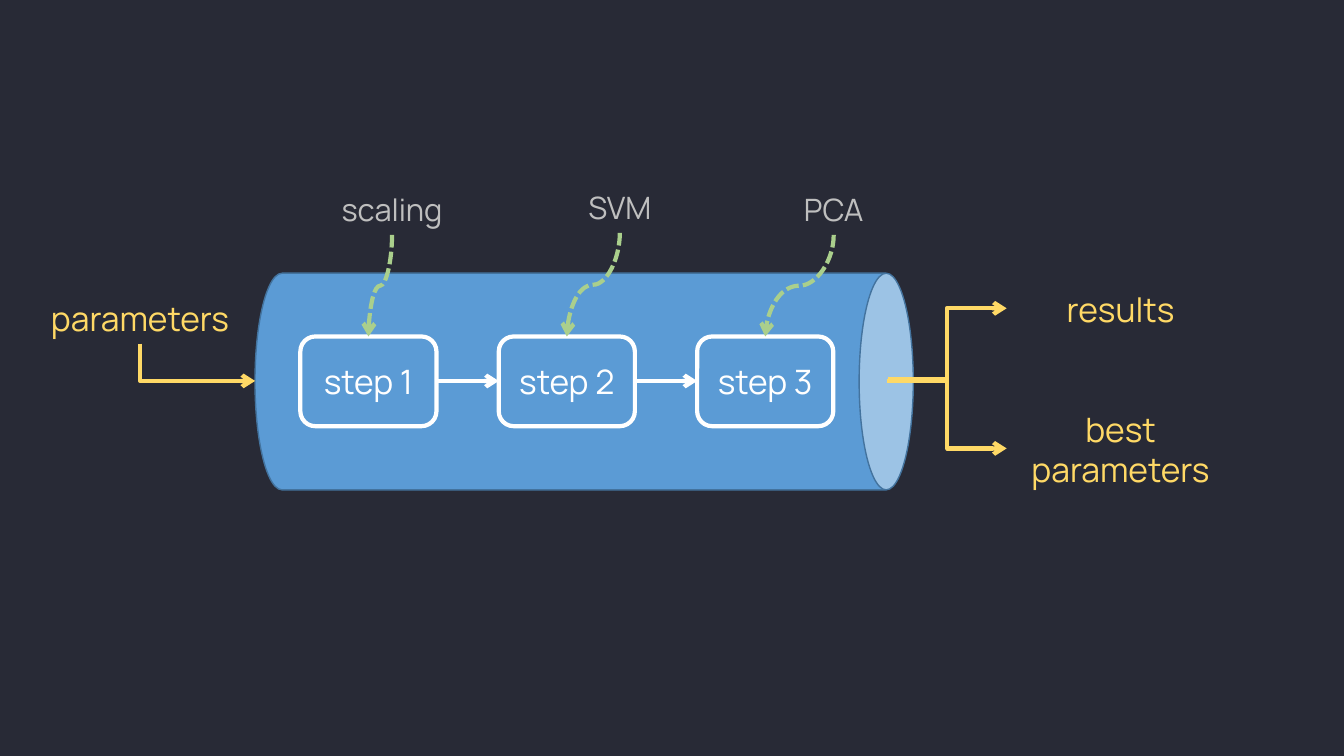
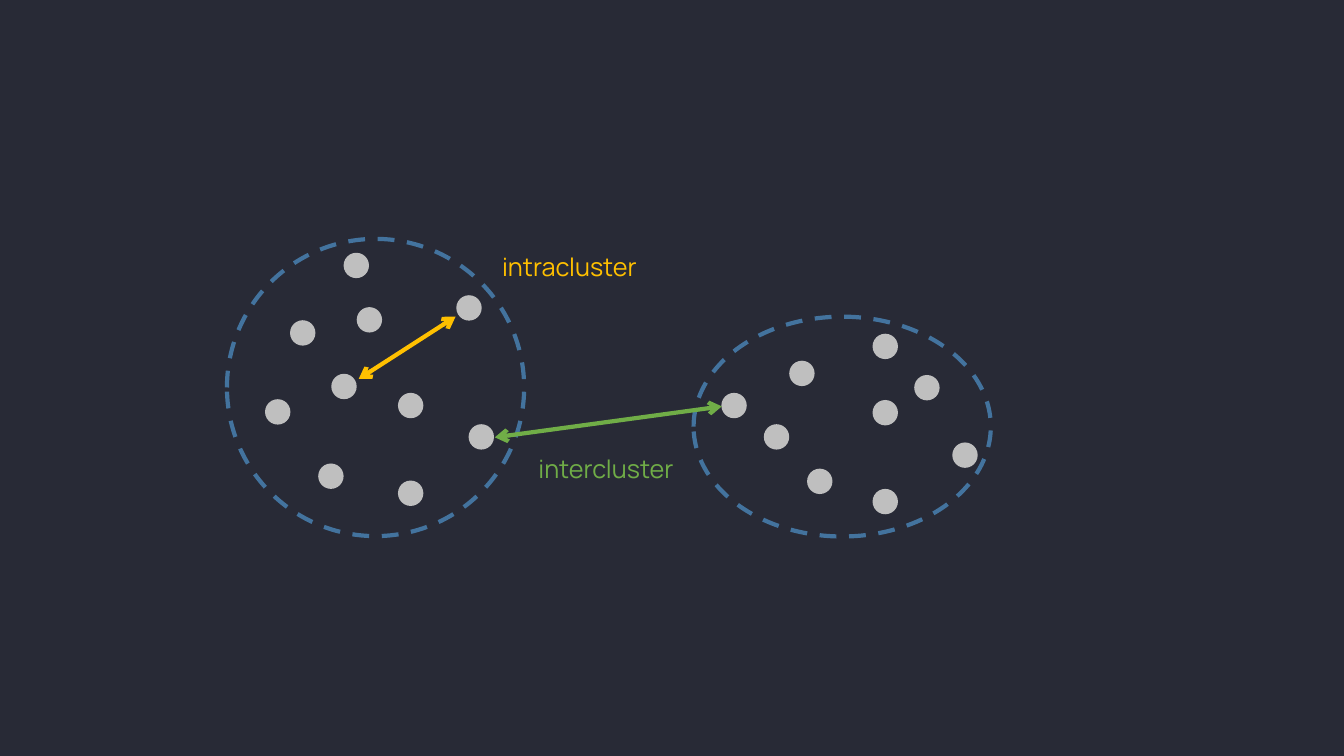
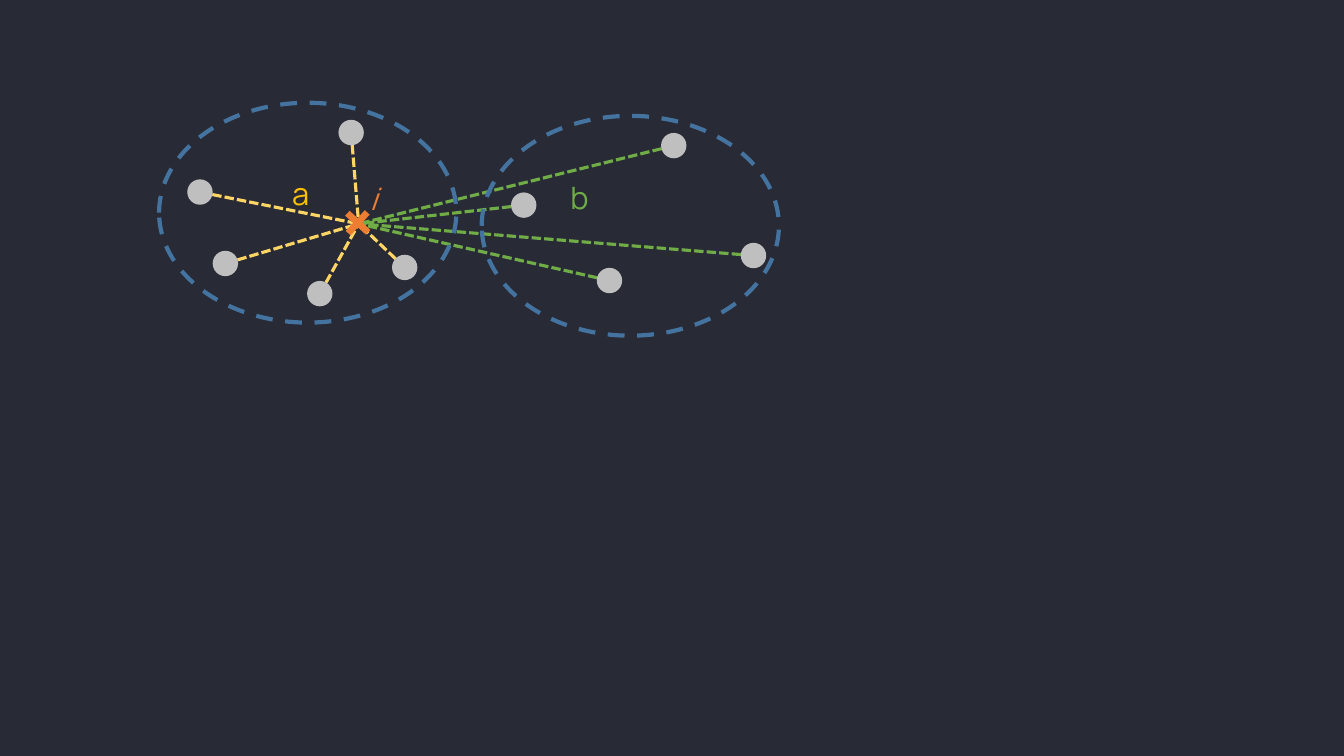
"""Build three dark slides: a model pipeline, cluster distances and a silhouette."""

from lxml import etree
from pptx import Presentation
from pptx.dml.color import RGBColor
from pptx.enum.dml import MSO_LINE
from pptx.enum.shapes import MSO_CONNECTOR, MSO_SHAPE
from pptx.enum.text import MSO_ANCHOR, PP_ALIGN
from pptx.oxml.ns import qn
from pptx.util import Cm, Pt

CAN = MSO_SHAPE.CAN
STEP_BOX = MSO_SHAPE.FLOWCHART_ALTERNATE_PROCESS
ELLIPSE = MSO_SHAPE.OVAL
CROSS = MSO_SHAPE.CROSS
STRAIGHT = MSO_CONNECTOR.STRAIGHT
ELBOW = MSO_CONNECTOR.ELBOW
CURVE = MSO_CONNECTOR.CURVE
DASH = MSO_LINE.DASH
SHORT_DASH = MSO_LINE.SQUARE_DOT
CENTER = PP_ALIGN.CENTER
MIDDLE = MSO_ANCHOR.MIDDLE

NIGHT = RGBColor(0x28, 0x2A, 0x36)
WHITE = RGBColor(0xFF, 0xFF, 0xFF)
GRAY = RGBColor(0xBF, 0xBF, 0xBF)
BLUE = RGBColor(0x5B, 0x9B, 0xD5)
DARK_BLUE = RGBColor(0x43, 0x73, 0x9E)
YELLOW = RGBColor(0xFF, 0xD9, 0x66)
SPOKE_YELLOW = RGBColor(0xFF, 0xD5, 0x64)
AMBER = RGBColor(0xFF, 0xC0, 0x00)
GREEN = RGBColor(0x70, 0xAD, 0x47)
LIGHT_GREEN = RGBColor(0xAA, 0xCF, 0x8C)
ORANGE = RGBColor(0xED, 0x7D, 0x31)

FONT = "Manrope"
DOT_SIZE = 0.64
CLUSTER_WIDTH = 7.49
CLUSTER_HEIGHT = 5.54


def write_text(frame, text, size=24, color=WHITE, italic=None):
    """Write one centred paragraph into a text frame."""
    frame.word_wrap = True
    frame.vertical_anchor = MIDDLE
    para = frame.paragraphs[0]
    para.alignment = CENTER
    span = para.add_run()
    span.text = text
    span.font.name = FONT
    span.font.size = Pt(size)
    span.font.color.rgb = color
    span.font.italic = italic


class Painter:
    """Hold the deck style and draw on the current page."""

    def __init__(self):
        """Start a widescreen deck."""
        self.deck = Presentation()
        self.deck.slide_width = Cm(33.87)
        self.deck.slide_height = Cm(19.05)
        self.page = None

    def new_page(self):
        """Add a blank dark page and make it current."""
        self.page = self.deck.slides.add_slide(self.deck.slide_layouts[6])
        background = self.page.background.fill
        background.solid()
        background.fore_color.rgb = NIGHT

    def shape(self, kind, left, top, width, height, fill=None, line=None,
              weight=3, dash=None):
        """Draw a preset shape with an optional fill and outline."""
        shape = self.page.shapes.add_shape(
            kind, Cm(left), Cm(top), Cm(width), Cm(height))
        shape.shadow.inherit = False
        if fill is None:
            shape.fill.background()
        else:
            shape.fill.solid()
            shape.fill.fore_color.rgb = fill
        if line is None:
            shape.line.fill.background()
        else:
            shape.line.color.rgb = line
            shape.line.width = Pt(weight)
            shape.line.dash_style = dash
        return shape

    def label(self, text, left, top, width=5.74, height=1.3, **style):
        """Place a centred text box."""
        box = self.page.shapes.add_textbox(
            Cm(left), Cm(top), Cm(width), Cm(height))
        write_text(box.text_frame, text, **style)

    def line(self, start, end, color, kind=STRAIGHT, weight=3, dash=None,
             ends=("tailEnd",)):
        """Draw a connector with open arrowheads at the named ends."""
        connector = self.page.shapes.add_connector(
            kind, *(Cm(value) for value in (*start, *end)))
        connector.line.color.rgb = color
        connector.line.width = Pt(weight)
        connector.line.dash_style = dash
        outline = connector.line._get_or_add_ln()
        for name in ends:
            etree.SubElement(outline, qn("a:" + name), type="arrow")
        etree.SubElement(connector.element.spPr, qn("a:effectLst"))
        return connector

    def drop(self, start, end, color, kind, **style):
        """Draw a connector that leaves its start downwards."""
        middle_x, middle_y = ((a + b) / 2 for a, b in zip(start, end))
        half_width = (end[1] - start[1]) / 2
        half_height = (start[0] - end[0]) / 2
        connector = self.line(
            (middle_x - half_width, middle_y - half_height),
            (middle_x + half_width, middle_y + half_height),
            color, kind, **style)
        connector.element.spPr.find(qn("a:xfrm")).set("rot", "5400000")
        return connector

    def cluster(self, left, top, height=CLUSTER_HEIGHT):
        """Outline a cluster with a dashed ellipse."""
        self.shape(ELLIPSE, left, top, CLUSTER_WIDTH, height,
                   line=DARK_BLUE, dash=DASH)

    def dots(self, centers):
        """Draw a gray data point at each centre."""
        for x, y in centers:
            self.shape(ELLIPSE, x - DOT_SIZE / 2, y - DOT_SIZE / 2,
                       DOT_SIZE, DOT_SIZE, fill=GRAY)


def draw_pipeline(painter):
    """Show parameters flowing through three steps to the results."""
    step_left, step_top, step_pitch = 7.57, 8.48, 5
    step_width, step_height = 3.43, 2.26
    flow_y = 9.6
    painter.new_page()
    pipe = painter.shape(CAN, 11.99, 1.32, 5.46, 16.59, fill=BLUE,
                         line=DARK_BLUE, weight=1)
    pipe.adjustments[0] = 0.25
    pipe.rotation = 90

    methods = (("scaling", 7.01, 4.62), ("SVM", 12.75, 4.57),
               ("PCA", 18.14, 4.62))
    for index, (method, left, top) in enumerate(methods):
        x = step_left + index * step_pitch
        step = painter.shape(STEP_BOX, x, step_top, step_width, step_height,
                             fill=BLUE, line=WHITE)
        write_text(step.text_frame, f"step {index + 1}")
        if index:
            painter.line((x - step_pitch + step_width, flow_y), (x, flow_y),
                         WHITE)
        painter.label(method, left, top, size=22, color=GRAY)
        painter.drop((left + 2.87, top + 1.3), (x + step_width / 2, step_top),
                     LIGHT_GREEN, CURVE, dash=SHORT_DASH)

    for text, left, top in (("parameters", 0.66, 7.37),
                            ("results", 25.37, 7.14),
                            ("best parameters", 25.37, 10.67)):
        painter.label(text, left, top, color=YELLOW)
    inlet = painter.drop((3.53, 8.66), (6.43, flow_y), YELLOW, ELBOW)
    inlet.element.spPr.find(qn("a:prstGeom")).set("prst", "bentConnector2")
    painter.line((22.35, flow_y), (25.37, 7.77), YELLOW, ELBOW)
    painter.line((22.38, 9.55), (25.37, 11.3), YELLOW, ELBOW)


def draw_distances(painter):
    """Compare the distance inside a cluster with that between clusters."""
    left_points = (
        (7.63, 8.39), (11.82, 7.76), (7, 10.38), (8.67, 9.74), (8.34, 12),
        (12.13, 11.01), (8.98, 6.69), (10.35, 12.43), (10.35, 10.22),
        (9.31, 8.06))
    right_points = (
        (18.5, 10.22), (20.21, 9.41), (19.57, 11.01), (20.66, 12.13),
        (22.31, 10.4), (24.32, 11.47), (23.36, 9.77), (22.31, 8.73),
        (22.31, 12.64))
    painter.new_page()
    painter.cluster(5.72, 6.02, height=CLUSTER_WIDTH)
    painter.dots(left_points)
    painter.cluster(17.48, 7.98)
    painter.dots(right_points)
    both_ends = ("headEnd", "tailEnd")
    painter.line((12.47, 11.02), (18.19, 10.24), GREEN, ends=both_ends)
    painter.line((9.04, 9.55), (11.48, 7.98), AMBER, ends=both_ends)
    painter.label("intracluster", 12.14, 6.15, 4.42, 1.12, size=18,
                  color=AMBER)
    painter.label("intercluster", 13.06, 11.25, 4.42, 1.12, size=18,
                  color=GREEN)


def draw_silhouette(painter):
    """Link one sample to its own cluster and to the nearest other one."""
    sample = (9.04, 5.64)
    own_points = ((5.04, 4.84), (8.85, 3.34), (10.2, 6.74), (8.06, 7.4),
                  (5.68, 6.64))
    other_points = ((16.98, 3.67), (13.2, 5.17), (15.36, 7.07), (18.99, 6.44))
    painter.new_page()
    for points, color in ((own_points, SPOKE_YELLOW), (other_points, GREEN)):
        for point in points:
            painter.line(point, sample, color, weight=2.25, dash=SHORT_DASH,
                         ends=())
    painter.cluster(4.01, 2.59)
    painter.dots(own_points)
    painter.cluster(12.14, 2.92)
    painter.dots(other_points)
    marker = painter.shape(CROSS, 8.66, 5.26, 0.71, 0.71, fill=ORANGE)
    marker.adjustments[0] = 0.383
    marker.rotation = 42.5
    for text, left, top, color, italic in (("a", 6.76, 4.22, AMBER, None),
                                           ("b", 13.79, 4.32, GREEN, None),
                                           ("i", 8.59, 4.34, ORANGE, True)):
        painter.label(text, left, top, 1.63, size=22, color=color,
                      italic=italic)


painter = Painter()
draw_pipeline(painter)
draw_distances(painter)
draw_silhouette(painter)
painter.deck.save("out.pptx")
